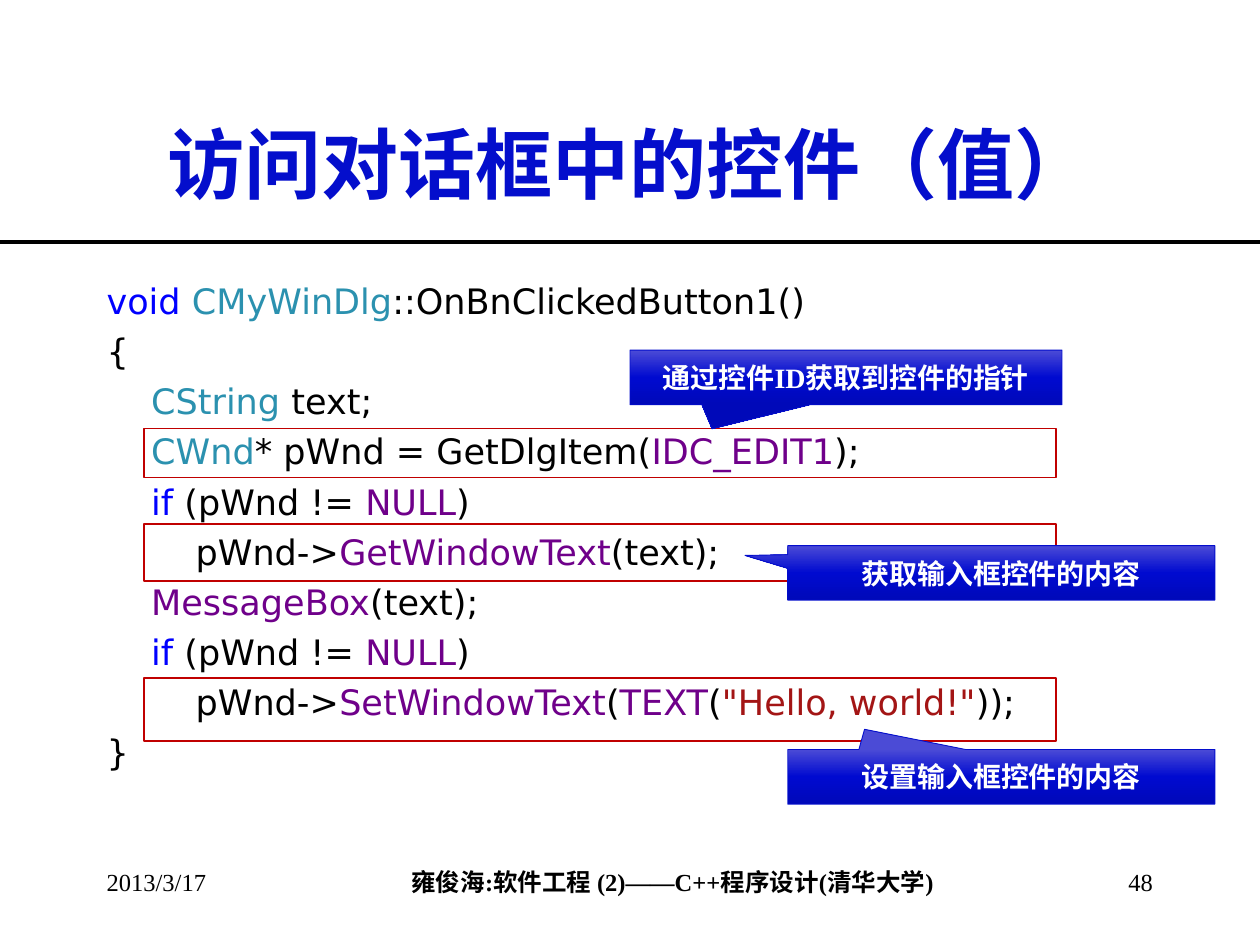
from copy import deepcopy
from dataclasses import dataclass

from lxml.etree import SubElement
from pptx import Presentation
from pptx.dml.color import RGBColor as Rgb
from pptx.enum.shapes import MSO_CONNECTOR as Conn, MSO_SHAPE as Form
from pptx.enum.text import MSO_ANCHOR as Anchor, PP_ALIGN as Align
from pptx.oxml.ns import qn
from pptx.util import Cm, Pt


@dataclass(frozen=True)
class Theme:
    serif: str = "Times New Roman"
    sans: str = "DejaVu Sans"
    ink: str = "000000"
    white: str = "FFFFFF"
    blue: str = "040ECC"
    frame: str = "C00000"
    key: str = "0000FF"
    kind: str = "2B91AF"
    name: str = "6F008A"
    quote: str = "A31515"
    fade: tuple = ("4B4BD6", "000AD0", "0009B9")
    head: int = 44
    code: int = 20
    note: int = 16
    foot: int = 14
    gap: float = 4.66


T = Theme()

TEST = [("    ", T.ink), ("if", T.key), (" (pWnd != ", T.ink),
        ("NULL", T.name), (")", T.ink)]
CODE = [
    [("void", T.key), (" ", T.ink), ("CMyWinDlg", T.kind),
     ("::OnBnClickedButton1()", T.ink)],
    [("{", T.ink)],
    [("    ", T.ink), ("CString", T.kind), (" text;", T.ink)],
    [("    ", T.ink), ("CWnd", T.kind), ("* pWnd = GetDlgItem(", T.ink),
     ("IDC_EDIT1", T.name), (");", T.ink)],
    TEST,
    [("        pWnd->", T.ink), ("GetWindowText", T.name),
     ("(text);", T.ink)],
    [("    ", T.ink), ("MessageBox", T.name), ("(text);", T.ink)],
    TEST,
    [("        pWnd->", T.ink), ("SetWindowText", T.name), ("(", T.ink),
     ("TEXT", T.name), ("(", T.ink), ('"Hello, world!"', T.quote),
     ("));", T.ink)],
    [("}", T.ink)],
]
FRAMES = [(13.67, 1.27), (10.57, 1.14), (8.64, 0.99)]
NOTES = [
    ("通过控件ID获取到控件的指针", (12.7, 7.06, 8.71, 1.1), (-0.31, 0.94)),
    ("获取输入框控件的内容", (15.88, 11, 8.61, 1.1), (-0.6, -0.32)),
    ("设置输入框控件的内容", (15.88, 15.11, 8.61, 1.1), (-0.32, -0.87)),
]


def place(box):
    return [Cm(n) for n in box]


def write(shape, text, size=T.foot, font=T.serif, color=T.ink, bold=False,
          align=Align.LEFT, anchor=Anchor.TOP, gap=0, side=0.25):
    frame = shape.text_frame
    frame.word_wrap = True
    frame.vertical_anchor = anchor
    frame.margin_left = frame.margin_right = Cm(side)
    lines = [[(text, color)]] if isinstance(text, str) else text
    for i, line in enumerate(lines):
        para = frame.add_paragraph() if i else frame.paragraphs[0]
        para.alignment = align
        if i and gap:
            para.space_before = Pt(gap)
        for part, tint in line:
            run = para.add_run()
            run.text = part
            run.font.size = Pt(size)
            run.font.name = font
            run.font.bold = bold
            run.font.color.rgb = Rgb.from_string(tint)


def label(slide, box, text, **style):
    write(slide.shapes.add_textbox(*place(box)), text, **style)


def shape(slide, form, box, color, width):
    item = slide.shapes.add_shape(form, *place(box))
    item.shadow.inherit = False
    item.line.color.rgb = Rgb.from_string(color)
    item.line.width = Pt(width)
    return item


def shade(item):
    fill = item.fill
    fill.gradient()
    fill.gradient_angle = 270
    stops = next(item._element.spPr.iter(qn("a:gsLst")))
    stops.insert(1, deepcopy(stops[0]))
    for i, (stop, color) in enumerate(zip(fill.gradient_stops, T.fade)):
        stop.position = i / 2
        stop.color.rgb = Rgb.from_string(color)


def note(slide, text, box, tip):
    item = shape(slide, Form.RECTANGULAR_CALLOUT, box, T.blue, 0.5)
    shade(item)
    item.adjustments[0], item.adjustments[1] = tip
    write(item, text, size=T.note, color=T.white, bold=True,
          align=Align.CENTER, anchor=Anchor.MIDDLE)


def rule(slide, y, width):
    line = slide.shapes.add_connector(
        Conn.STRAIGHT, 0, Cm(y), Cm(25.4), Cm(y))
    line.line.color.rgb = Rgb.from_string(T.ink)
    line.line.width = Pt(width)
    SubElement(line._element.spPr, qn("a:effectLst"))


def main():
    deck = Presentation()
    deck.slide_width, deck.slide_height = Cm(25.4), Cm(19.05)
    slide = deck.slides.add_slide(deck.slide_layouts[6])

    label(slide, (5.21, 17.35, 16.69, 0.84),
          "雍俊海:软件工程 (2)——C++程序设计(清华大学)",
          bold=True, align=Align.CENTER, side=0)
    rule(slide, 4.87, 2.25)
    label(slide, (1.9, 1.7, 21.6, 3.18), "访问对话框中的控件（值）",
          size=T.head, color=T.blue, bold=True,
          align=Align.CENTER, anchor=Anchor.MIDDLE)
    label(slide, (1.9, 5.51, 21.6, 11.43), CODE,
          size=T.code, font=T.sans, gap=T.gap)
    label(slide, (1.9, 17.35, 5.28, 1.27), "2013/3/17")
    label(slide, (18.21, 17.35, 5.28, 1.27), "48", align=Align.RIGHT)

    for top, high in FRAMES:
        box = (2.9, top, 18.39, high)
        shape(slide, Form.RECTANGLE, box, T.frame, 1).fill.background()
    for text, box, tip in NOTES:
        note(slide, text, box, tip)

    deck.save("out.pptx")


if __name__ == "__main__":
    main()
